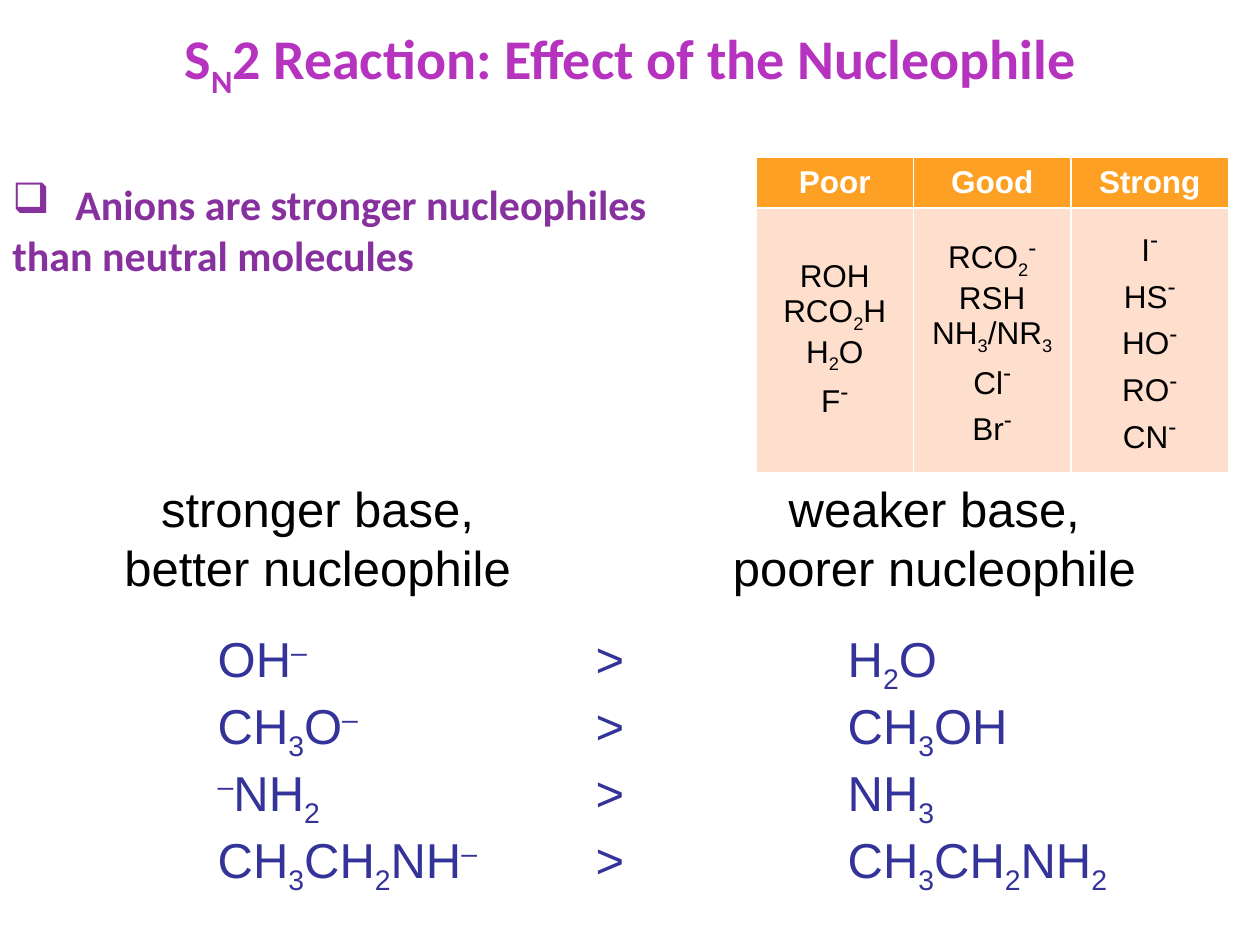
from pptx import Presentation
from pptx.dml.color import RGBColor as RGB
from pptx.enum.text import MSO_ANCHOR as Anchor, PP_ALIGN as Align
from pptx.oxml.ns import qn
from pptx.util import Inches, Pt
from lxml.etree import SubElement as Sub


def style(par, size, color, name="Arial", bold=False, align=Align.LEFT):
    par.alignment = align
    font = par.font
    font.size, font.name, font.bold = Pt(size), name, bold
    font.color.rgb = RGB.from_string(color)


def write(par, text, sup=None):
    """Add runs: _ lowers the next character, ^ raises it (at size sup)."""
    for part in text.replace("_", "|_").replace("^", "|^").split("|"):
        mark = part[:1]
        if mark not in ("_", "^"):
            if part:
                par.add_run().text = part
            continue
        run = par.add_run()
        run.text = part[1]
        run.font._element.set("baseline", "-25000" if mark == "_" else "30000")
        if mark == "^" and sup:
            run.font.size = Pt(sup)
        if part[2:]:
            par.add_run().text = part[2:]


prs = Presentation()
prs.slide_width, prs.slide_height = Inches(10), Inches(7.5)
slide = prs.slides.add_slide(prs.slide_layouts[5])
shapes = slide.shapes

# Title
title = shapes.title
title.left, title.top = Inches(1.31), Inches(0.17)
title.width, title.height = Inches(7.39), Inches(0.64)
title.text_frame.word_wrap = False
par = title.text_frame.paragraphs[0]
style(par, 32, "B533BF", "Calibri", True, Align.CENTER)
write(par, "S_N2 Reaction: Effect of the Nucleophile")

# Main point
frame = shapes.add_textbox(Inches(0), Inches(1.37), Inches(5.36), Inches(1)).text_frame
frame.word_wrap = True
first, second = frame.paragraphs[0], frame.add_paragraph()
props = first._p.get_or_add_pPr()
props.set("marL", str(Inches(0.5)))
props.set("indent", str(-Inches(0.5)))
Sub(props, qn("a:buChar"), char="❑")
for par, text in ((first, "Anions are stronger nucleophiles"),
                  (second, "than neutral molecules")):
    style(par, 24, "87319F", "Calibri", True)
    write(par, text)

# Nucleophile strength table
groups = {
    "Poor": ["ROH", "RCO_2H", "H_2O", "F^-"],
    "Good": ["RCO_2^-", "RSH", "NH_3/NR_3", "Cl^-", "Br^-"],
    "Strong": ["I^-", "HS^-", "HO^-", "RO^-", "CN^-"],
}
table = shapes.add_table(2, 3, Inches(6), Inches(1.25), Inches(3.75), Inches(2.5)).table
table.rows[0].height, table.rows[1].height = Inches(0.4), Inches(2.1)
for col, (head, items) in enumerate(groups.items()):
    for row, lines, back, color in ((0, [head], "FDA023", "FFFFFF"),
                                    (1, items, "FEDFCD", "000000")):
        cell = table.cell(row, col)
        cell.fill.solid()
        cell.fill.fore_color.rgb = RGB.from_string(back)
        cell.vertical_anchor = Anchor.MIDDLE
        frame = cell.text_frame
        for num, line in enumerate(lines):
            par = frame.add_paragraph() if num else frame.paragraphs[0]
            style(par, 18, color, bold=row == 0, align=Align.CENTER)
            write(par, line, sup=24)

# Column headings
for left, width, lines in ((0.88, 3.28, ["stronger base,", "better nucleophile"]),
                           (5.71, 3.41, ["weaker base,", "poorer nucleophile"])):
    frame = shapes.add_textbox(Inches(left), Inches(3.75), Inches(width), Inches(1.03)).text_frame
    frame.word_wrap = False
    for num, line in enumerate(lines):
        par = frame.add_paragraph() if num else frame.paragraphs[0]
        style(par, 28, "000000", align=Align.CENTER)
        write(par, line)

# Anion and neutral pairs
pairs = [("OH^–", "H_2O"), ("CH_3O^–", "CH_3OH"), ("^–NH_2", "NH_3"),
         ("CH_3CH_2NH^–", "CH_3CH_2NH_2")]
frame = shapes.add_textbox(Inches(1.63), Inches(4.94), Inches(7.33), Inches(1.97)).text_frame
frame.word_wrap = True
for num, (anion, neutral) in enumerate(pairs):
    par = frame.add_paragraph() if num else frame.paragraphs[0]
    tabs = Sub(par._p.get_or_add_pPr(), qn("a:tabLst"))
    for stop in (3, 5):
        Sub(tabs, qn("a:tab"), pos=str(Inches(stop)), algn="l")
    style(par, 28, "333399")
    write(par, f"{anion}\t>\t{neutral}")

prs.save("out.pptx")
